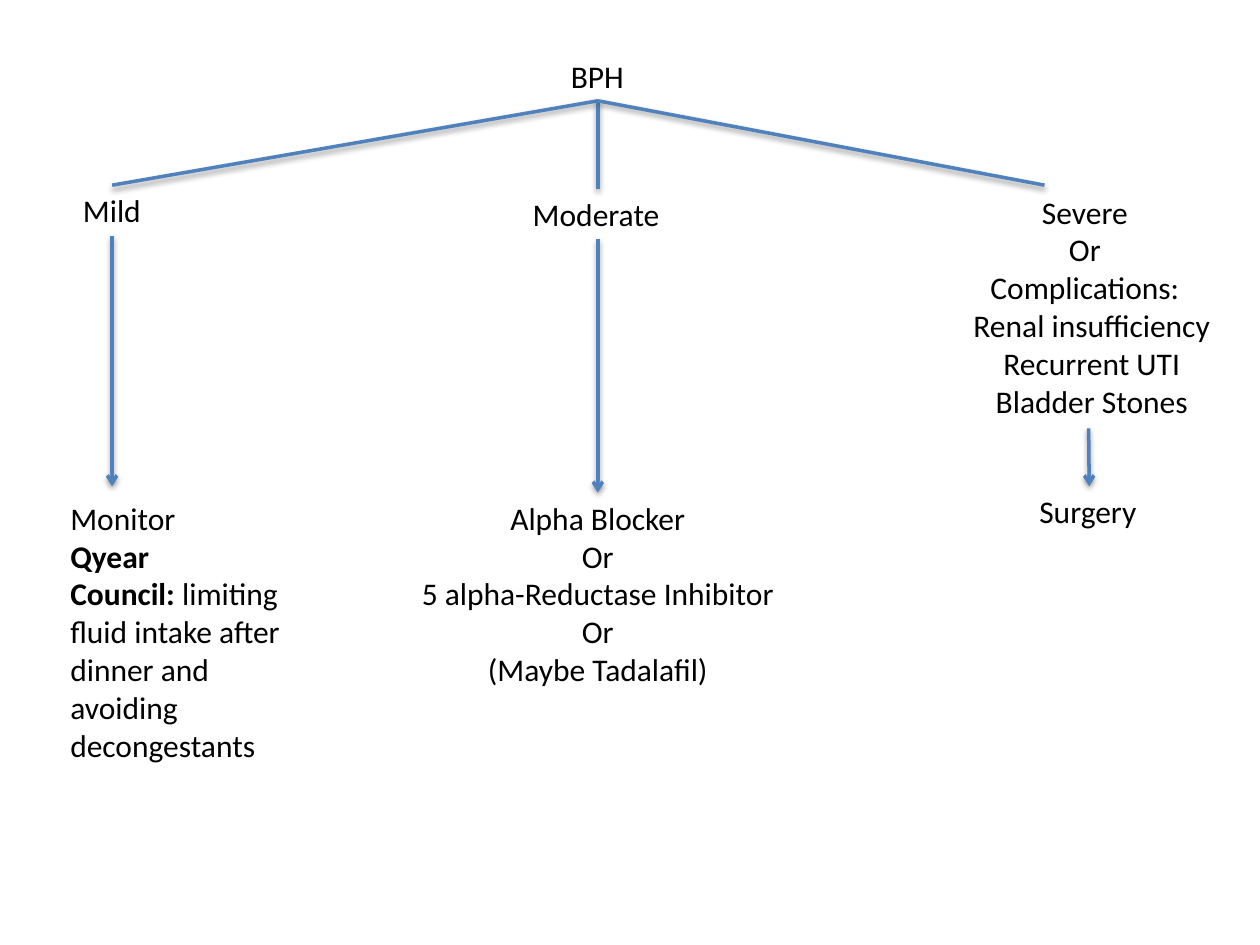
import collections
import dataclasses

import lxml.etree
import pptx
import pptx.dml.color
import pptx.enum.shapes
import pptx.enum.text
import pptx.oxml.ns
import pptx.util

Inches = pptx.util.Inches
Align = pptx.enum.text.PP_ALIGN
Box = collections.namedtuple("Box", "left top width height")
TOP, BOTTOM = 0, 2  # connection sites


@dataclasses.dataclass(frozen=True)
class Theme:
    font: str = "Calibri"
    size: pptx.util.Pt = pptx.util.Pt(18)
    text: pptx.dml.color.RGBColor = pptx.dml.color.RGBColor(0, 0, 0)
    line: pptx.dml.color.RGBColor = pptx.dml.color.RGBColor(0x4F, 0x81, 0xBD)
    width: pptx.util.Pt = pptx.util.Pt(2)


THEME = Theme()


def inner(box, left, top, width, height):
    """Box given by offsets from the corner of another box."""
    return Box(box.left + left, box.top + top, width, height)


def style(para, align=Align.LEFT, bold=None):
    para.alignment = align
    para.font.name = THEME.font
    para.font.size = THEME.size
    para.font.color.rgb = THEME.text
    para.font.bold = bold


def label(slide, box, lines, align=Align.LEFT, wrap=False):
    shape = slide.shapes.add_textbox(*map(Inches, box))
    frame = shape.text_frame
    frame.word_wrap = wrap
    for i, text in enumerate(lines):
        para = frame.paragraphs[0] if i == 0 else frame.add_paragraph()
        para.text = text
        style(para, align)
    return shape


def link(slide, start, end, head=False):
    """Line between points; a (shape, site) pair joins that end."""
    line = slide.shapes.add_connector(
        pptx.enum.shapes.MSO_CONNECTOR.STRAIGHT, 0, 0, 0, 0)
    line.begin_x, line.begin_y = place(start)
    line.end_x, line.end_y = place(end)
    for spot, join in ((start, line.begin_connect), (end, line.end_connect)):
        if not isinstance(spot[0], float):
            join(*spot)
    line.line.color.rgb = THEME.line
    line.line.width = THEME.width
    if head:
        lxml.etree.SubElement(line.line._get_or_add_ln(),
                              pptx.oxml.ns.qn("a:tailEnd"), type="arrow")


def place(spot):
    if isinstance(spot[0], float):
        return Inches(spot[0]), Inches(spot[1])
    shape, site = spot
    drop = shape.height if site == BOTTOM else 0
    return shape.left + shape.width // 2, shape.top + drop


# Root of the tree
def root(slide, box):
    title = slide.shapes.title
    title.left, title.top, title.width, title.height = map(Inches, box)
    frame = title.text_frame
    frame.text = "BPH"
    frame.word_wrap = False
    frame.auto_size = pptx.enum.text.MSO_AUTO_SIZE.NONE
    frame.vertical_anchor = pptx.enum.text.MSO_ANCHOR.TOP
    style(frame.paragraphs[0])
    return title


# Left branch: watch and advise
def mild(slide, box, top):
    stage = label(slide, inner(box, 0.1, 0, 0.66, 0.4), ["Mild"])
    care = label(slide, inner(box, 0, 2.44, box.width, 2.22),
                 ["Monitor", "Qyear", "Council: "], wrap=True)
    paras = care.text_frame.paragraphs
    paras[1].font.bold = True
    paras[2].runs[0].font.bold = True
    paras[2].add_run().text = ("limiting fluid intake after dinner "
                               "and avoiding decongestants")
    link(slide, (top, BOTTOM), (stage, TOP))
    link(slide, (stage, BOTTOM), (box.left + 0.43, box.top + 2.39), head=True)


# Middle branch: drugs
def moderate(slide, box, top):
    stage = label(slide, inner(box, 0.9, 0, 1.23, 0.4), ["Moderate"])
    drugs = label(slide, inner(box, 0, 2.41, box.width, 1.62),
                  ["Alpha Blocker", "Or", "5 alpha-Reductase Inhibitor",
                   "Or", "(Maybe Tadalafil)"], Align.CENTER)
    link(slide, (top, BOTTOM), (stage, TOP))
    link(slide, (stage, BOTTOM), (drugs, TOP), head=True)


# Right branch: surgery
def severe(slide, box, top):
    stage = label(slide, inner(box, 0, 0, box.width, 1.92),
                  ["Severe", "Or", "Complications:", "Renal insufficiency",
                   "Recurrent UTI", "Bladder Stones"], Align.CENTER, wrap=True)
    # No side insets, so that each complication keeps to one line
    frame = stage.text_frame
    frame.margin_left = frame.margin_right = 0
    # The complications sit slightly right of the heading lines
    for i, para in enumerate(frame.paragraphs):
        side, gap = ("marR", 0.06) if i < 3 else ("marL", 0.11)
        para._p.get_or_add_pPr().set(side, str(Inches(gap)))
    care = label(slide, inner(box, 0.62, 2.38, 0.99, 0.4), ["Surgery"])
    link(slide, (top, BOTTOM), (box.left + 0.76, box.top - 0.01))
    link(slide, (stage, BOTTOM), (care, TOP), head=True)


def main():
    deck = pptx.Presentation()
    deck.slide_width, deck.slide_height = Inches(10), Inches(7.5)
    slide = deck.slides.add_slide(deck.slide_layouts.get_by_name("Title Only"))
    top = root(slide, Box(4.43, 0.4, 0.63, 0.4))
    mild(slide, Box(0.46, 1.47, 2.04, 4.66), top)
    moderate(slide, Box(3.23, 1.5, 3.03, 4.03), top)
    severe(slide, Box(7.53, 1.48, 2.22, 2.78), top)
    deck.save("out.pptx")


if __name__ == "__main__":
    main()
